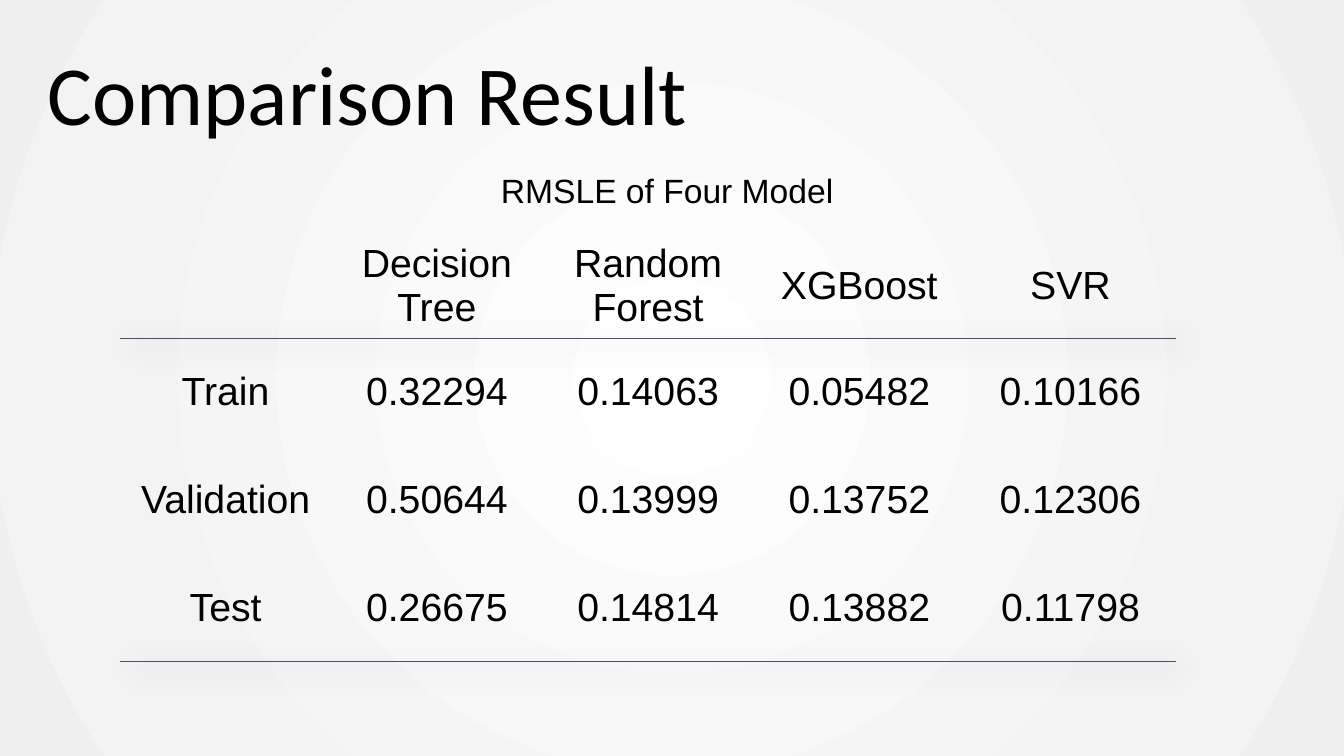
from lxml.etree import SubElement
from pptx import Presentation
from pptx.dml.color import RGBColor
from pptx.enum.text import MSO_ANCHOR, PP_ALIGN
from pptx.oxml import parse_xml
from pptx.oxml.ns import nsdecls, qn
from pptx.util import Inches, Pt

TITLE = "Comparison Result"
CAPTION = "RMSLE of Four Model"
RESULTS = [
    ["", "Decision Tree", "Random Forest", "XGBoost", "SVR"],
    ["Train", "0.32294", "0.14063", "0.05482", "0.10166"],
    ["Validation", "0.50644", "0.13999", "0.13752", "0.12306"],
    ["Test", "0.26675", "0.14814", "0.13882", "0.11798"],
]
BACKGROUND_STOPS = [(0, "FFFFFF"), (77, "F3F3F3"), (100, "EFEFEF")]
TEXT_COLOR = "000000"
RULE_COLOR = "44546A"
RULED_ROWS = (0, len(RESULTS) - 1)
COLUMN_WIDTH = 2.095
HEADER_HEIGHT = 0.77
ROW_HEIGHT = 1.07
PLAIN_STYLE = "{2D5ABB26-0587-4C30-8999-92F81FD0307C}"


def color(value):
    return RGBColor.from_string(value)


def write(text_frame, text, size, font_name, alignment):
    paragraph = text_frame.paragraphs[0]
    paragraph.alignment = alignment
    run = paragraph.add_run()
    run.text = text
    run.font.size = Pt(size)
    run.font.name = font_name
    run.font.color.rgb = color(TEXT_COLOR)
    return paragraph


def add_text(slide, box, text, size, font_name, alignment, anchor, wrap):
    shape = slide.shapes.add_textbox(*map(Inches, box))
    shape.text_frame.word_wrap = wrap
    shape.text_frame.vertical_anchor = anchor
    return write(shape.text_frame, text, size, font_name, alignment)


def paint_background(slide):
    slide.background.fill.solid()
    solid = slide.element.find(".//" + qn("a:solidFill"))
    stops = "".join(
        f'<a:gs pos="{share * 1000}"><a:srgbClr val="{value}"/></a:gs>'
        for share, value in BACKGROUND_STOPS
    )
    gradient = parse_xml(
        f'<a:gradFill {nsdecls("a")} rotWithShape="1"><a:gsLst>{stops}</a:gsLst>'
        '<a:path path="circle"><a:fillToRect l="50000" t="50000" r="50000" b="50000"/>'
        "</a:path></a:gradFill>"
    )
    solid.getparent().replace(solid, gradient)


def rule_below(cell):
    properties = cell._tc.get_or_add_tcPr()
    line = parse_xml(
        f'<a:lnB {nsdecls("a")} w="{Pt(1)}"><a:solidFill>'
        f'<a:srgbClr val="{RULE_COLOR}"/></a:solidFill></a:lnB>'
    )
    properties.insert(0, line)


def add_results(slide, left, top):
    row_count, column_count = len(RESULTS), len(RESULTS[0])
    heights = [HEADER_HEIGHT] + [ROW_HEIGHT] * (row_count - 1)
    frame = slide.shapes.add_table(
        row_count, column_count, Inches(left), Inches(top),
        Inches(COLUMN_WIDTH * column_count), Inches(sum(heights)),
    )
    table = frame.table
    table.horz_banding = False
    properties = table._tbl.tblPr
    properties.find(qn("a:tableStyleId")).text = PLAIN_STYLE
    effects = parse_xml(
        f'<a:effectLst {nsdecls("a")}><a:outerShdw blurRad="{Inches(0.3)}" '
        f'dist="{Inches(0.1)}" dir="2700000" algn="tl">'
        '<a:srgbClr val="000000"/></a:outerShdw></a:effectLst>'
    )
    shadow_color = effects.find(".//" + qn("a:srgbClr"))
    SubElement(shadow_color, qn("a:alpha")).set("val", "40000")
    properties.insert(0, effects)
    for column in table.columns:
        column.width = Inches(COLUMN_WIDTH)
    for row_index, (values, height) in enumerate(zip(RESULTS, heights)):
        table.rows[row_index].height = Inches(height)
        for column_index, value in enumerate(values):
            cell = table.cell(row_index, column_index)
            cell.fill.background()
            cell.vertical_anchor = MSO_ANCHOR.MIDDLE
            if value:
                write(cell.text_frame, value, 28, "Arial", PP_ALIGN.CENTER)
            if row_index in RULED_ROWS:
                rule_below(cell)


def main():
    presentation = Presentation()
    presentation.slide_width = Inches(13.33)
    presentation.slide_height = Inches(7.5)
    slide = presentation.slides.add_slide(presentation.slide_layouts[6])
    paint_background(slide)
    title = add_text(slide, (-1.97, 0.25, 11.23, 1.22), TITLE, 60, "Calibri",
                     PP_ALIGN.CENTER, MSO_ANCHOR.BOTTOM, True)
    title.line_spacing = 0.9
    add_results(slide, 1.19, 2.32)
    add_text(slide, (4.87, 1.64, 3.86, 0.5), CAPTION, 24, "Arial",
             PP_ALIGN.LEFT, MSO_ANCHOR.TOP, True)
    presentation.save("out.pptx")


if __name__ == "__main__":
    main()
